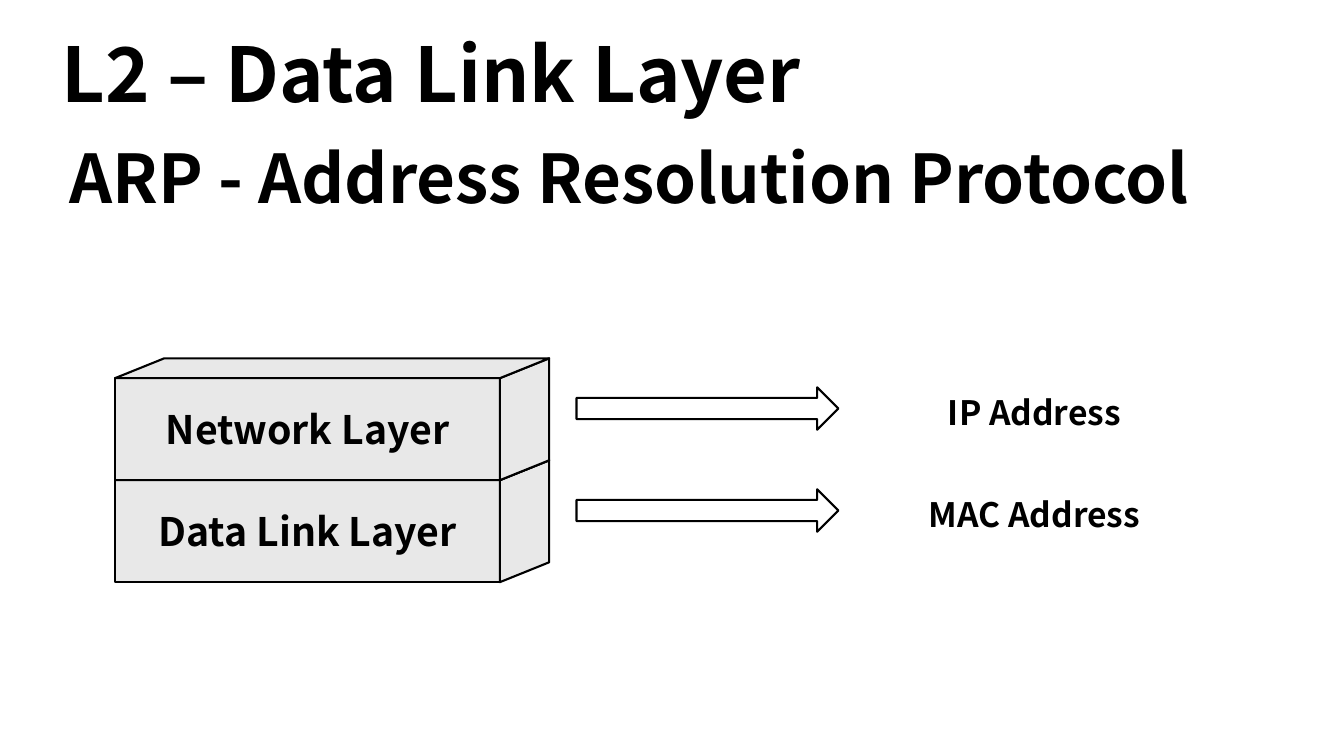
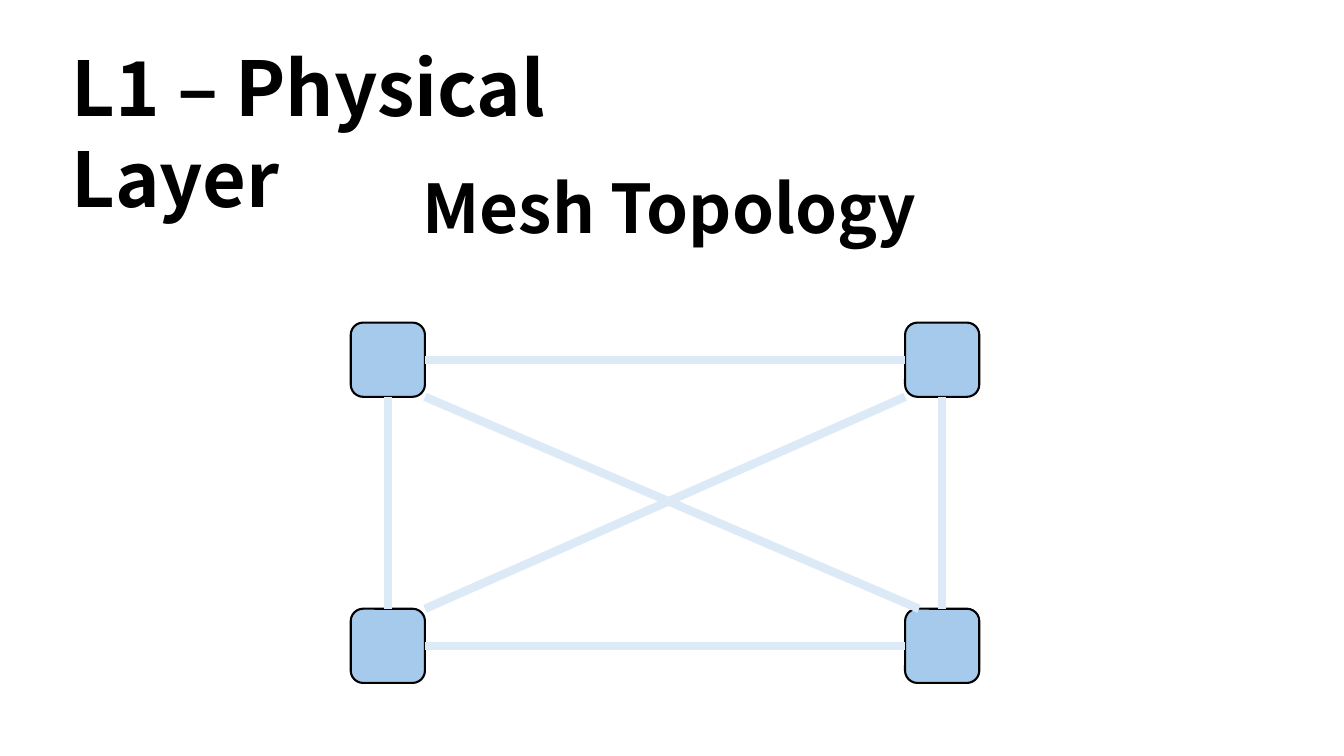
from lxml import etree
from pptx import Presentation
from pptx.dml.color import RGBColor
from pptx.enum.shapes import MSO_CONNECTOR, MSO_SHAPE
from pptx.enum.text import MSO_ANCHOR, MSO_AUTO_SIZE, PP_ALIGN
from pptx.oxml.ns import qn
from pptx.util import Cm, Pt

RECTANGLE = MSO_SHAPE.RECTANGLE
PARALLELOGRAM = MSO_SHAPE.PARALLELOGRAM
ARROW = MSO_SHAPE.RIGHT_ARROW
ROUNDED = MSO_SHAPE.ROUNDED_RECTANGLE
STRAIGHT = MSO_CONNECTOR.STRAIGHT
LEFT, CENTER = PP_ALIGN.LEFT, PP_ALIGN.CENTER
TOP, MIDDLE = MSO_ANCHOR.TOP, MSO_ANCHOR.MIDDLE
GROW = MSO_AUTO_SIZE.SHAPE_TO_FIT_TEXT
TITLE_ONLY = 5

# Shared look
FONT = "Noto Sans CJK KR"
BLACK, WHITE, GREY = "000000", "FFFFFF", "E8E8E8"
NODE_BLUE, LINK_BLUE = "A6CAEC", "DCEAF7"
TITLE_SIZE, SUBTITLE_SIZE, LAYER_SIZE, LABEL_SIZE = 54, 48, 28, 24


def color(hex_value):
    return RGBColor.from_string(hex_value)


def write(shape, text, size, align=LEFT, anchor=TOP):
    frame = shape.text_frame
    frame.word_wrap = True
    frame.vertical_anchor = anchor
    paragraph = frame.paragraphs[0]
    paragraph.alignment = align
    span = paragraph.add_run()
    span.text = text
    formats = {"name": FONT, "size": Pt(size), "bold": True}
    for name, value in formats.items():
        setattr(span.font, name, value)
    span.font.color.rgb = color(BLACK)


def add_page(deck, title, left, top, width):
    page = deck.slides.add_slide(deck.slide_layouts[TITLE_ONLY])
    box = page.shapes.title
    place = {"left": left, "top": top, "width": width, "height": 2.57}
    for name, value in place.items():
        setattr(box, name, Cm(value))
    write(box, title, TITLE_SIZE)
    box.text_frame.auto_size = GROW
    return page


def add_label(page, text, size, left, top, width, height, align=LEFT):
    box = page.shapes.add_textbox(Cm(left), Cm(top), Cm(width), Cm(height))
    write(box, text, size, align)
    box.text_frame.auto_size = GROW


def add_outlined(page, kind, left, top, width, height, fill):
    shape = page.shapes.add_shape(kind, Cm(left), Cm(top), Cm(width), Cm(height))
    shape.shadow.inherit = False
    shape.fill.solid()
    shape.fill.fore_color.rgb = color(fill)
    shape.line.color.rgb = color(BLACK)
    shape.line.width = Pt(1.5)
    return shape


def add_block(page, text, left, top, width, height):
    """Draw a layer as a solid block: front, right side and top face."""
    depth, rise = 1.24, 0.5
    front = add_outlined(page, RECTANGLE, left, top, width, height, GREY)
    write(front, text, LAYER_SIZE, CENTER, MIDDLE)

    # The side is laid out flat around its centre, then turned upright
    length = height + rise
    center_x = left + width + depth / 2
    center_y = top + (height - rise) / 2
    side = add_outlined(page, PARALLELOGRAM, center_x - length / 2,
                        center_y - depth / 2, length, depth, GREY)
    side.adjustments[0] = rise / depth
    side.rotation = 270
    side.element.spPr.find(qn("a:xfrm")).set("flipH", "1")

    lid = add_outlined(page, PARALLELOGRAM, left, top - rise,
                       width + depth, rise, GREY)
    lid.adjustments[0] = depth / rise


def add_link(page, start, end):
    points = [Cm(value) for value in (*start, *end)]
    link = page.shapes.add_connector(STRAIGHT, *points)
    link.line.color.rgb = color(LINK_BLUE)
    link.line.width = Pt(6)
    etree.SubElement(link.element.spPr, qn("a:effectLst"))


def build_arp_page(deck):
    page = add_page(deck, "L2 – Data Link Layer", 1.3, 0.56, 19.23)
    add_label(page, "ARP - Address Resolution Protocol", SUBTITLE_SIZE,
              1.5, 3.3, 29.95, 2.31)

    # Lower layer first, so that the upper one covers its top face
    height, first_top = 2.57, 9.53
    layers = [("Network Layer", "IP Address"), ("Data Link Layer", "MAC Address")]
    for row, (layer, address) in reversed(list(enumerate(layers))):
        top = first_top + row * height
        add_block(page, layer, 2.9, top, 9.7, height)
        add_outlined(page, ARROW, 14.53, top + 0.23, 6.6, 1.07, WHITE)
        add_label(page, address, LABEL_SIZE, 21.84, top + 0.23, 8.46, 1.27, CENTER)


def build_mesh_page(deck):
    page = add_page(deck, "L1 – Physical Layer", 1.55, 0.91, 17.83)
    add_label(page, "Mesh Topology", SUBTITLE_SIZE, 10.4, 4.06, 13.6, 2.31)

    # Four nodes on the corners of a rectangle
    size = 1.87
    columns, rows = (8.84, 22.81), (8.13, 15.34)
    for left in columns:
        for top in rows:
            add_outlined(page, ROUNDED, left, top, size, size, NODE_BLUE)

    # Links along the edges and across the middle
    inner_left, inner_right = columns[0] + size, columns[1]
    inner_top, inner_bottom = rows[0] + size, rows[1]
    for left in columns:
        middle = left + size / 2
        add_link(page, (middle, inner_top), (middle, inner_bottom))
    for top in rows:
        middle = top + size / 2
        add_link(page, (inner_left, middle), (inner_right, middle))
    add_link(page, (inner_left, inner_bottom), (inner_right, inner_top))
    add_link(page, (inner_left, inner_top), (inner_right + 0.35, inner_bottom))


def main():
    deck = Presentation()
    deck.slide_width, deck.slide_height = Cm(33.87), Cm(19.05)
    build_arp_page(deck)
    build_mesh_page(deck)
    deck.save("out.pptx")


if __name__ == "__main__":
    main()
